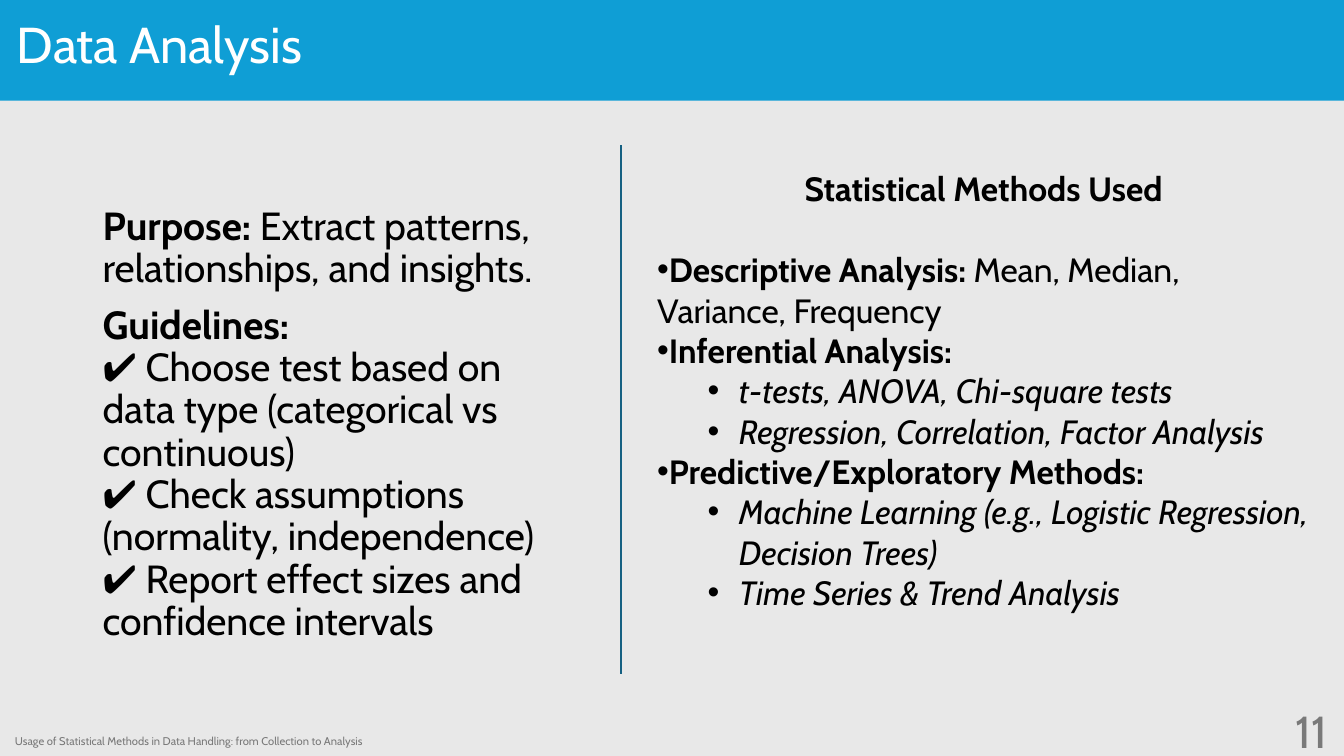
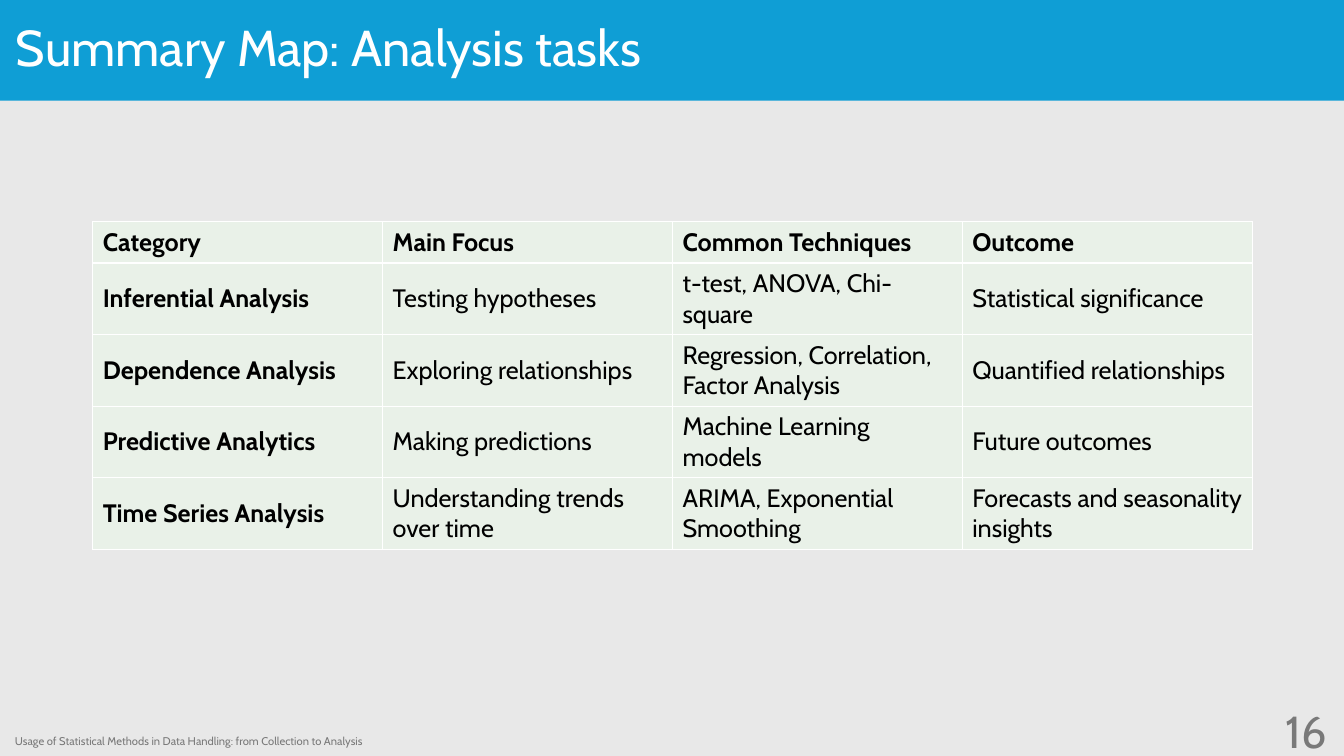
from lxml.etree import SubElement
from pptx import Presentation
from pptx.dml.color import RGBColor
from pptx.enum.shapes import MSO_CONNECTOR, MSO_SHAPE
from pptx.enum.text import MSO_ANCHOR as Anchor, PP_ALIGN as Align
from pptx.oxml.ns import qn
from pptx.util import Inches, Pt

FONT = "Cabin"
FOOTER = "Usage of Statistical Methods in Data Handling: from Collection to Analysis"
COLORS = {
    "background": "E8E8E8",
    "band": "0F9ED5",
    "divider": "156082",
    "cell": "E9F1E8",
    "white": "FFFFFF",
    "text": "000000",
    "footer": "797979",
}

# (bold lead, plain rest)
GUIDANCE = [
    ("Purpose:", " Extract patterns, relationships, and insights."),
    ("Guidelines:", "\n✔ Choose test based on data type (categorical vs continuous)"
                    "\n✔ Check assumptions (normality, independence)"
                    "\n✔ Report effect sizes and confidence intervals"),
]
# (bold lead, plain rest, sub-items)
METHODS = [
    ("Descriptive Analysis:", " Mean, Median, Variance, Frequency", []),
    ("Inferential Analysis:", "", [
        "t-tests, ANOVA, Chi-square tests",
        "Regression, Correlation, Factor Analysis",
    ]),
    ("Predictive/Exploratory Methods:", "", [
        "Machine Learning (e.g., Logistic Regression, Decision Trees)",
        "Time Series & Trend Analysis",
    ]),
]
TASKS = [
    ("Category", "Main Focus", "Common Techniques", "Outcome"),
    ("Inferential Analysis", "Testing hypotheses",
     "t-test, ANOVA, Chi-square", "Statistical significance"),
    ("Dependence Analysis", "Exploring relationships",
     "Regression, Correlation, Factor Analysis", "Quantified relationships"),
    ("Predictive Analytics", "Making predictions",
     "Machine Learning models", "Future outcomes"),
    ("Time Series Analysis", "Understanding trends over time",
     "ARIMA, Exponential Smoothing", "Forecasts and seasonality insights"),
]


def rgb(name):
    return RGBColor.from_string(COLORS[name])


# Text
def style(para, size, color="text", bold=None, italic=None):
    font = para.font
    font.name, font.size, font.color.rgb = FONT, Pt(size), rgb(color)
    font.bold, font.italic = bold, italic


def add_box(page, left, top, width, height, anchor=Anchor.TOP):
    box = page.shapes.add_textbox(*map(Inches, (left, top, width, height)))
    frame = box.text_frame
    frame.word_wrap = True
    frame.vertical_anchor = anchor
    return frame


def next_para(frame):
    first = frame.paragraphs[0]
    return frame.add_paragraph() if first.runs else first


def add_label(page, area, text, size, color, align=Align.LEFT):
    para = add_box(page, *area, anchor=Anchor.MIDDLE).paragraphs[0]
    para.text = text
    para.alignment = align
    style(para, size, color)
    return para


def add_lead(para, lead, rest):
    """Write a bold lead followed by plain text, with line breaks kept."""
    span = para.add_run()
    span.text = lead
    span.font.bold = True
    for number, line in enumerate(rest.split("\n")):
        if number:
            para.add_line_break()
        if line:
            para.add_run().text = line


def set_bullet(para, left=0, indent=0):
    props = para._p.get_or_add_pPr()
    props.set("marL", str(Inches(left)))
    props.set("indent", str(Inches(indent)))
    SubElement(props, qn("a:buFont"), typeface="Arial")
    SubElement(props, qn("a:buChar"), char="•")


# Shared frame of every page
def add_page(deck, title, number, title_left, title_top, title_height):
    page = deck.slides.add_slide(deck.slide_layouts[6])
    page.background.fill.solid()
    page.background.fill.fore_color.rgb = rgb("background")

    band = page.shapes.add_shape(MSO_SHAPE.RECTANGLE, 0, 0, deck.slide_width, Inches(1))
    band.shadow.inherit = False
    band.fill.solid()
    band.fill.fore_color.rgb = rgb("band")
    band.line.fill.background()

    heading = add_label(page, (title_left, title_top, 11, title_height), title, 36, "white")
    heading.line_spacing = 0.9
    add_label(page, (0.05, 7.23, 8, 0.25), FOOTER, 8, "footer")
    add_label(page, (10.26, 7.05, 3, 0.4), str(number), 32, "footer", Align.RIGHT)
    return page


# Page content
def add_guidance(page):
    frame = add_box(page, 0.92, 2, 4.79, 4.76)
    for number, (lead, rest) in enumerate(GUIDANCE):
        para = next_para(frame)
        add_lead(para, lead, rest)
        para.line_spacing = 0.9
        if number:
            para.space_before = Pt(10)
        style(para, 28)


def add_divider(page, x, top, bottom):
    line = page.shapes.add_connector(
        MSO_CONNECTOR.STRAIGHT, Inches(x), Inches(top), Inches(x), Inches(bottom))
    line.line.color.rgb = rgb("divider")
    line.line.width = Pt(1.5)
    SubElement(line._element.spPr, qn("a:effectLst"))


def add_methods(page):
    frame = add_box(page, 6.42, 1.62, 6.67, 4.95)
    heading = next_para(frame)
    heading.text = "Statistical Methods Used"
    heading.alignment = Align.CENTER
    heading.space_after = Pt(29)
    style(heading, 24, bold=True)

    for lead, rest, items in METHODS:
        para = next_para(frame)
        set_bullet(para)
        add_lead(para, lead, rest)
        style(para, 24)
        for item in items:
            para = next_para(frame)
            para.level = 1
            set_bullet(para, 0.81, -0.31)
            para.text = item
            style(para, 24, italic=True)


def set_borders(cell, color, width):
    props = cell._tc.get_or_add_tcPr()
    for side in ("lnL", "lnR", "lnT", "lnB"):
        edge = SubElement(props, qn(f"a:{side}"), w=str(Pt(width)))
        fill = SubElement(edge, qn("a:solidFill"))
        SubElement(fill, qn("a:srgbClr"), val=COLORS[color])


def add_task_table(page):
    width, header_height, row_height = Inches(11.5), Inches(0.41), Inches(0.71)
    rows, columns = len(TASKS), len(TASKS[0])
    table = page.shapes.add_table(
        rows, columns, Inches(0.92), Inches(2.2), width,
        header_height + row_height * (rows - 1)).table
    for column in table.columns:
        column.width = width // columns
    for r, texts in enumerate(TASKS):
        table.rows[r].height = row_height if r else header_height
        for c, text in enumerate(texts):
            cell = table.cell(r, c)
            set_borders(cell, "white", 1)
            cell.fill.solid()
            cell.fill.fore_color.rgb = rgb("cell")
            cell.vertical_anchor = Anchor.MIDDLE
            cell.text = text
            style(cell.text_frame.paragraphs[0], 18, bold=r == 0 or c == 0)


def main():
    deck = Presentation()
    deck.slide_width, deck.slide_height = Inches(13.33), Inches(7.5)

    analysis = add_page(deck, "Data Analysis", 11, 0.07, 0.09, 0.76)
    add_guidance(analysis)
    add_divider(analysis, 6.16, 1.44, 6.69)
    add_methods(analysis)

    summary = add_page(deck, "Summary Map: Analysis tasks", 16, 0.06, 0.13, 0.74)
    add_task_table(summary)

    deck.save("out.pptx")


if __name__ == "__main__":
    main()
